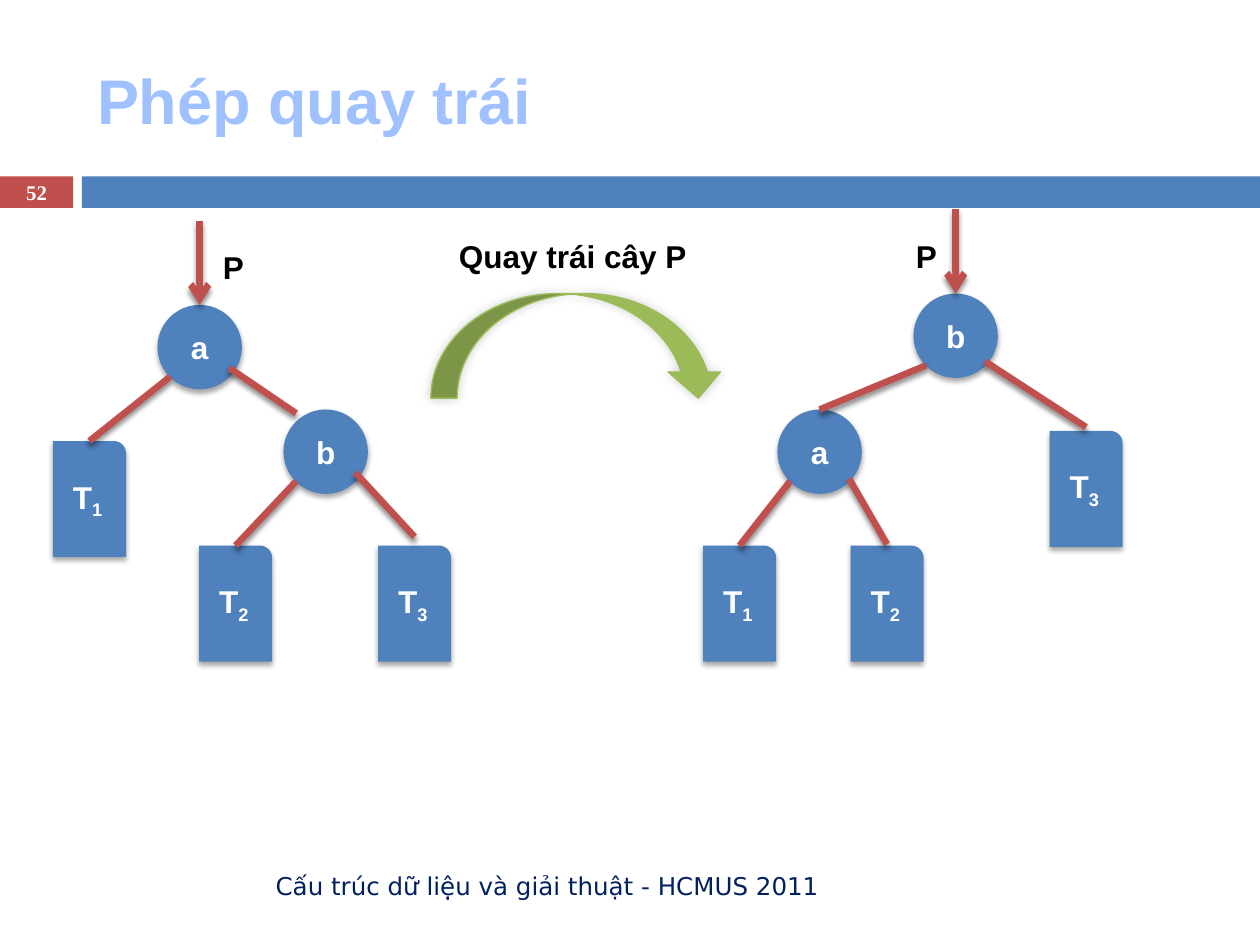
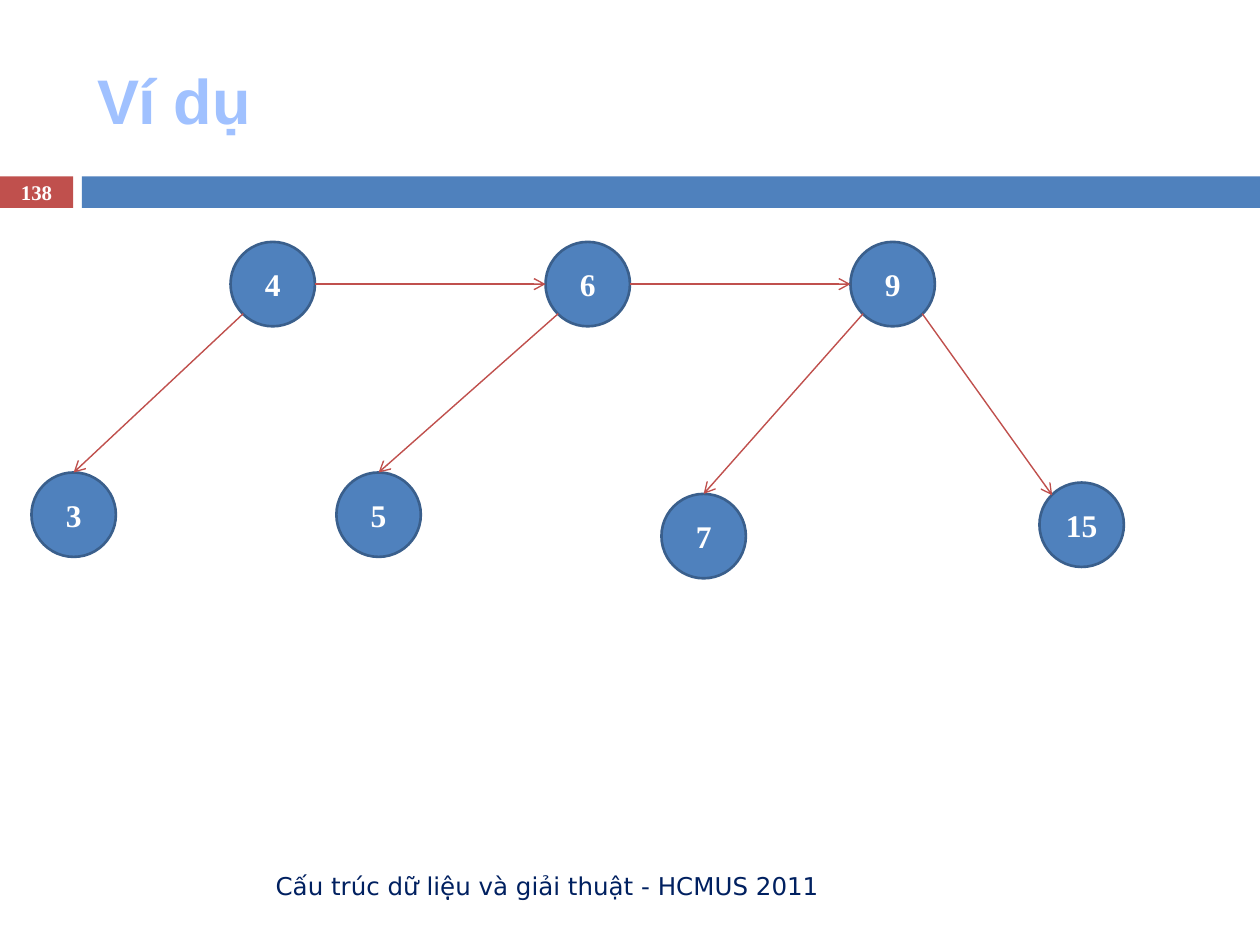
from lxml.etree import SubElement
from pptx import Presentation
from pptx.dml.color import RGBColor
from pptx.enum.shapes import MSO_CONNECTOR, MSO_SHAPE
from pptx.enum.text import MSO_ANCHOR, PP_ALIGN
from pptx.oxml.ns import qn
from pptx.util import Inches, Pt

# Shared look
BLUE = RGBColor(0x4F, 0x81, 0xBD)
DARK_BLUE = RGBColor(0x3A, 0x5F, 0x8C)
RED = RGBColor(0xC0, 0x50, 0x4D)
GREEN = RGBColor(0x9B, 0xBB, 0x59)
TITLE_BLUE = RGBColor(0xA0, 0xC1, 0xFF)
NAVY = RGBColor(0x00, 0x20, 0x60)
BLACK = RGBColor(0, 0, 0)
WHITE = RGBColor(0xFF, 0xFF, 0xFF)
SANS, SERIF, FOOTER_FONT = "Arial", "Times New Roman", "DejaVu Sans"
FOOTER = "Cấu trúc dữ liệu và giải thuật - HCMUS 2011"

# Shadows: opacity %, blur pt, distance pt, angle
NODE_SHADOW = (35, 3, 2, 90)
EDGE_SHADOW = (45, 3, 2.4, 90)
ARROW_SHADOW = (20, 6, 0, 315)

CIRCLE = 0.67
SUBTREE = (0.58, 0.92)
POINTER_LENGTH = 0.67

# Slide 1: nodes by left and top; joined edges run from a parent's lower left
# to the child's top, loose edges give both ends
ROTATION = {
    "title": "Phép quay trái",
    "page": "52",
    "trees": [
        {"root": "a", "label": (1.67, 1.92),
         "nodes": {"a": (1.25, 2.42), "b": (2.25, 3.25)},
         "subtrees": {"T1": (0.42, 3.5), "T2": (1.58, 4.33), "T3": (3, 4.33)},
         "joined": [("a", "T1"), ("b", "T2")],
         "loose": [((1.82, 2.92), (2.35, 3.28)), ((2.82, 3.75), (3.29, 4.26))]},
        {"root": "b", "label": (7.17, 1.83),
         "nodes": {"a": (6.17, 3.25), "b": (7.25, 2.33)},
         "subtrees": {"T1": (5.58, 4.33), "T2": (6.75, 4.33), "T3": (8.33, 3.42)},
         "joined": [("a", "T1"), ("b", "a")],
         "loose": [((6.74, 3.8), (7.04, 4.32)), ((7.82, 2.87), (8.62, 3.39))]},
    ],
    "caption": "Quay trái cây P",
}

# Slide 2: arrows as parent, side left, child, side reached
EXAMPLE = {
    "title": "Ví dụ",
    "page": "138",
    "nodes": {"4": (1.83, 1.92), "6": (4.33, 1.92), "9": (6.75, 1.92),
              "3": (0.25, 3.75), "5": (2.67, 3.75), "7": (5.25, 3.92),
              "15": (8.25, 3.83)},
    "arrows": [("4", "right", "6", "left"), ("6", "right", "9", "left"),
               ("4", "lower left", "3", "top"), ("6", "lower left", "5", "top"),
               ("9", "lower left", "7", "top"),
               ("9", "lower right", "15", "upper left")],
}

# Points on a shape's outline as shares of width and height
SIDES = {"top": (0.5, 0), "left": (0, 0.5), "right": (1, 0.5),
         "lower left": (0.15, 0.85), "lower right": (0.85, 0.85),
         "upper left": (0.15, 0.15)}


def add_run(p, text, size, color, font=SANS, bold=True):
    r = p.add_run()
    r.text = text
    r.font.size, r.font.name, r.font.bold = Pt(size), font, bold
    r.font.color.rgb = color
    return r


def add_text(s, at, text, size, color, font=SANS, bold=True, align=None,
             anchor=MSO_ANCHOR.TOP):
    tf = s.shapes.add_textbox(*map(Inches, at)).text_frame
    tf.word_wrap = True
    tf.vertical_anchor = anchor
    p = tf.paragraphs[0]
    p.alignment = align
    add_run(p, text, size, color, font, bold)


def add_shadow(sp, shadow):
    sp_pr = sp._element.spPr
    effects = sp_pr.find(qn("a:effectLst"))
    if effects is None:
        effects = SubElement(sp_pr, qn("a:effectLst"))
    if shadow:
        opacity, blur, dist, angle = shadow
        outer = SubElement(effects, qn("a:outerShdw"), blurRad=str(Pt(blur)),
                           dist=str(Pt(dist)), dir=str(angle * 60000),
                           rotWithShape="0")
        color = SubElement(outer, qn("a:srgbClr"), val=str(BLACK))
        SubElement(color, qn("a:alpha"), val=str(opacity * 1000))


def add_shape(s, kind, at, fill, line=None, width=0.79, shadow=None):
    sp = s.shapes.add_shape(kind, *map(Inches, at))
    sp.fill.solid()
    sp.fill.fore_color.rgb = fill
    if line is None:
        sp.line.fill.background()
    else:
        sp.line.color.rgb = line
        sp.line.width = Pt(width)
    sp.shadow.inherit = False
    add_shadow(sp, shadow)
    return sp


def label(sp, text, size=18, font=SANS, subscript=""):
    tf = sp.text_frame
    tf.margin_left = tf.margin_right = tf.margin_top = tf.margin_bottom = 0
    tf.vertical_anchor = MSO_ANCHOR.MIDDLE
    p = tf.paragraphs[0]
    p.alignment = PP_ALIGN.CENTER
    add_run(p, text, size, WHITE, font)
    if subscript:
        r = add_run(p, subscript, size, WHITE, font)
        r.font._element.set("baseline", "-25000")


def add_line(s, start, end, width, arrow=False, shadow=None):
    line = s.shapes.add_connector(MSO_CONNECTOR.STRAIGHT, *start, *end)
    line.line.color.rgb = RED
    line.line.width = Pt(width)
    if arrow:
        SubElement(line.line._get_or_add_ln(), qn("a:tailEnd"), type="arrow")
    add_shadow(line, shadow)
    return line


def point_on(sp, side):
    fx, fy = SIDES[side]
    return round(sp.left + fx * sp.width), round(sp.top + fy * sp.height)


def inches(point):
    return tuple(map(Inches, point))


def new_slide(prs, title, page):
    s = prs.slides.add_slide(prs.slide_layouts[5])
    # Title
    ph = s.shapes.title
    ph.left, ph.top, ph.width, ph.height = map(Inches, (0.67, 0.25, 8.92, 1.08))
    ph.text_frame.vertical_anchor = MSO_ANCHOR.MIDDLE
    p = ph.text_frame.paragraphs[0]
    p.alignment = PP_ALIGN.LEFT
    add_run(p, title, 36, TITLE_BLUE)
    # Bands, page number and footer
    label(add_shape(s, MSO_SHAPE.RECTANGLE, (0, 1.4, 0.58, 0.25), RED),
          page, 11.9, SERIF)
    add_shape(s, MSO_SHAPE.RECTANGLE, (0.65, 1.4, 9.35, 0.25), BLUE)
    add_text(s, (0.67, 6.83, 5.93, 0.4), FOOTER, 14, NAVY, FOOTER_FONT, False,
             PP_ALIGN.RIGHT, MSO_ANCHOR.MIDDLE)
    return s


def draw_tree(s, tree):
    shapes = {}
    for name, at in tree["nodes"].items():
        shapes[name] = add_shape(s, MSO_SHAPE.OVAL, (*at, CIRCLE, CIRCLE), BLUE,
                                 shadow=NODE_SHADOW)
        label(shapes[name], name)
    for name, at in tree["subtrees"].items():
        shapes[name] = add_shape(s, MSO_SHAPE.ROUND_1_RECTANGLE, (*at, *SUBTREE),
                                 BLUE, shadow=NODE_SHADOW)
        label(shapes[name], name[0], subscript=name[1])
    for parent, child in tree["joined"]:
        edge = add_line(s, point_on(shapes[parent], "lower left"),
                        point_on(shapes[child], "top"), 3.75, shadow=EDGE_SHADOW)
        edge.end_connect(shapes[child], 0)
    for start, end in tree["loose"]:
        add_line(s, inches(start), inches(end), 3.75, shadow=EDGE_SHADOW)
    # Pointer P to the root
    root = shapes[tree["root"]]
    x, y = point_on(root, "top")
    pointer = add_line(s, (x, y - Inches(POINTER_LENGTH)), (x, y), 3.75,
                       arrow=True, shadow=EDGE_SHADOW)
    pointer.end_connect(root, 0)
    add_text(s, (*tree["label"], 0.58, 0.4), "P", 18, BLACK)


def rotation_slide(prs):
    s = new_slide(prs, ROTATION["title"], ROTATION["page"])
    for tree in ROTATION["trees"]:
        draw_tree(s, tree)
    add_shape(s, MSO_SHAPE.CURVED_DOWN_ARROW, (3.42, 2.33, 2.33, 0.83), GREEN,
              GREEN, shadow=ARROW_SHADOW)
    add_text(s, (3.42, 1.83, 2.25, 0.4), ROTATION["caption"], 18, BLACK,
             align=PP_ALIGN.CENTER)


def example_slide(prs):
    s = new_slide(prs, EXAMPLE["title"], EXAMPLE["page"])
    nodes = {}
    for key, at in EXAMPLE["nodes"].items():
        nodes[key] = add_shape(s, MSO_SHAPE.OVAL, (*at, CIRCLE, CIRCLE), BLUE,
                               DARK_BLUE, 1.5)
        label(nodes[key], key, font=SERIF)
    for parent, leaving, child, reached in EXAMPLE["arrows"]:
        arrow = add_line(s, point_on(nodes[parent], leaving),
                         point_on(nodes[child], reached), 0.79, arrow=True)
        if reached == "top":
            arrow.end_connect(nodes[child], 0)


def main():
    prs = Presentation()
    prs.slide_width, prs.slide_height = Inches(10), Inches(7.5)
    rotation_slide(prs)
    example_slide(prs)
    prs.save("out.pptx")


if __name__ == "__main__":
    main()
